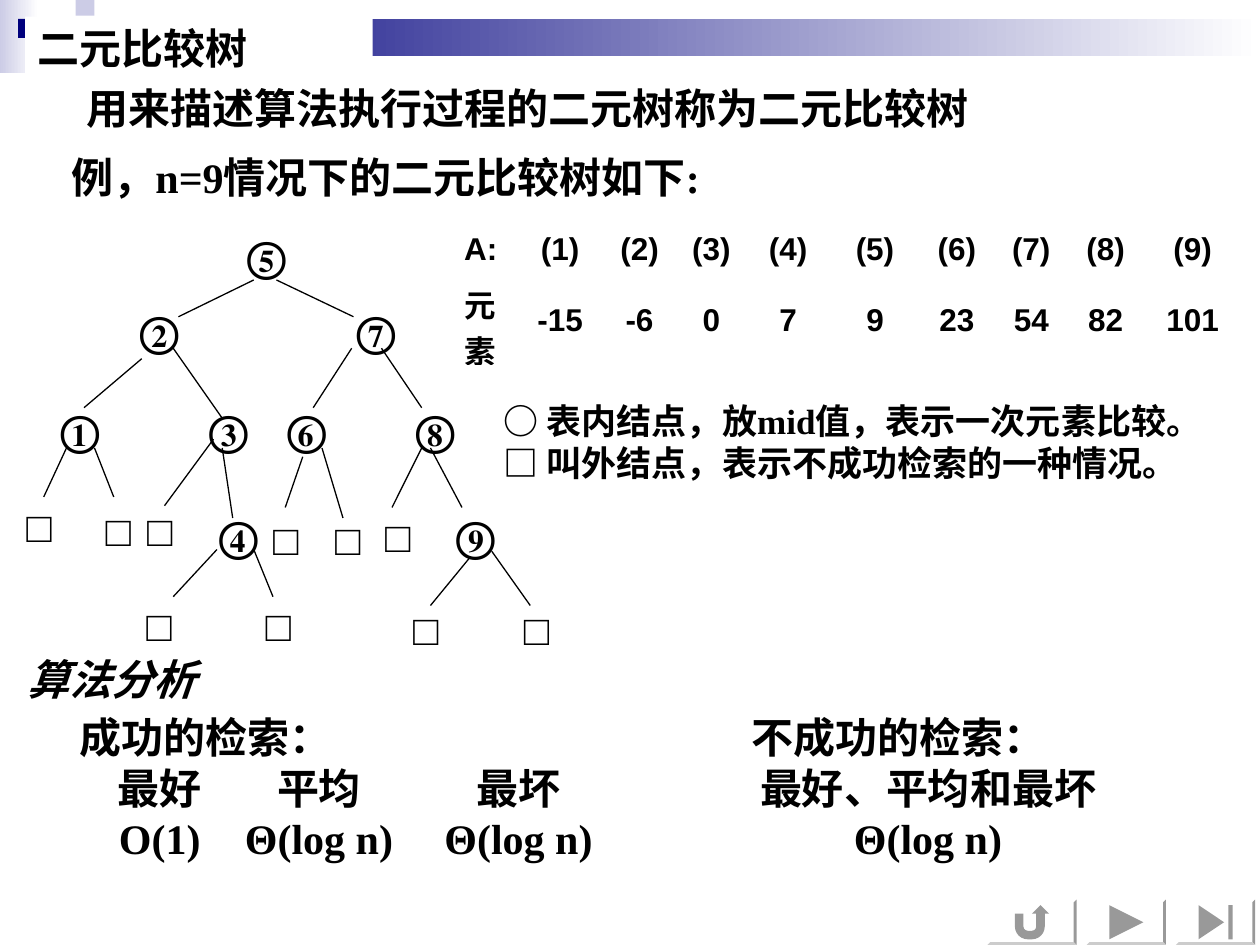
import pptx
import pptx.util
import pptx.dml.color
import pptx.enum.shapes
import pptx.enum.text
import lxml.etree

Pt = pptx.util.Pt
MSO = pptx.enum.shapes.MSO_SHAPE
ALIGN = pptx.enum.text.PP_ALIGN
ANCHOR = pptx.enum.text.MSO_ANCHOR
A = "{http://schemas.openxmlformats.org/drawingml/2006/main}"
C = {k: pptx.dml.color.RGBColor.from_string(v) for k, v in {
    "white": "FFFFFF", "black": "000000", "navy": "00007D", "lilac": "CCCCE6",
    "grey": "999999", "silver": "CCCCCC"}.items()}


def add_shape(kind, x, y, w, h, colours):
    sp = s.shapes.add_shape(kind, Pt(x), Pt(y), Pt(w), Pt(h))
    sp.shadow.inherit = False
    sp.line.fill.background()
    if len(colours) == 1:
        sp.fill.solid()
        sp.fill.fore_color.rgb = C[colours[0]]
    else:
        sp.fill.gradient()
        sp.fill.gradient_angle = 180
        for stop, colour in zip(sp.fill.gradient_stops, colours):
            stop.color.rgb = C[colour]


def add_text(text, x, y, w, h=36, size=24, wrap=False, italic=None):
    sp = s.shapes.add_textbox(Pt(x), Pt(y), Pt(w), Pt(h))
    tf = sp.text_frame
    tf.word_wrap = wrap
    tf.auto_size = pptx.enum.text.MSO_AUTO_SIZE.SHAPE_TO_FIT_TEXT
    tf.text = text
    for p in tf.paragraphs:
        for r in p.runs:
            r.font.name = "Times New Roman"
            r.font.size = Pt(size)
            r.font.bold = True
            r.font.italic = italic
            r.font.color.rgb = C["black"]
    return sp


prs = pptx.Presentation()
prs.slide_width, prs.slide_height = Pt(720), Pt(540)
s = prs.slides.add_slide(prs.slide_layouts[6])

add_shape(MSO.RECTANGLE, 0, 0, 22, 41.5, ["white", "lilac"])
add_shape(MSO.RECTANGLE, 32.5, 10.8, 687.5, 21.4, ["white", "navy"])
add_shape(MSO.RECTANGLE, 43.2, 0, 10.8, 9, ["lilac"])
add_shape(MSO.RECTANGLE, 10.3, 10.8, 10.8, 10.8, ["navy"])

bevel = 1.6
top, bottom = 514, 540
for kind, x, w in [(MSO.ACTION_BUTTON_RETURN, 564.2, 51), (MSO.ACTION_BUTTON_FORWARD_OR_NEXT, 621, 45.3),
                   (MSO.ACTION_BUTTON_END, 672, 45.3)]:
    add_shape(kind, x, top, w, bottom - top, ["white"])
    right = x + w
    corner = (right - bevel, bottom - bevel)
    for colour, points in [
            ("grey", [(right, top), (right, bottom), corner, (right - bevel, top + bevel)]),
            ("silver", [(right, bottom), (x, bottom), (x + bevel, bottom - bevel), corner])]:
        fb = s.shapes.build_freeform(Pt(points[0][0]), Pt(points[0][1]))
        fb.add_line_segments([(Pt(px), Pt(py)) for px, py in points[1:]])
        sp = fb.convert_to_shape()
        sp.shadow.inherit = False
        sp.line.fill.background()
        sp.fill.solid()
        sp.fill.fore_color.rgb = C[colour]

sp = add_text("二元比较树", 14.4, 9.5, 198.5, wrap=True)
sp.fill.solid()
sp.fill.fore_color.rgb = C["white"]
add_text("用来描述算法执行过程的二元树称为二元比较树", 42.5, 43.4, 518.5)
add_text("例，n=9情况下的二元比较树如下:", 33.8, 83, 390)

edges = [(145, 160, 102, 181), (158, 160, 202, 181), (81, 205, 48, 233), (99, 199, 127, 239),
         (201, 199, 179, 233), (218, 199, 241, 233), (38, 256, 25, 284), (54, 256, 65, 284),
         (122, 251, 94, 289), (127, 256, 133, 296), (173, 261, 163, 290), (184, 256, 196, 296),
         (241, 256, 224, 290), (246, 256, 264, 290), (269, 318, 246, 346), (281, 315, 303, 346),
         (124, 314, 99, 341), (145, 314, 156, 341)]
for edge in edges:
    cn = s.shapes.add_connector(pptx.enum.shapes.MSO_CONNECTOR.STRAIGHT, *map(Pt, edge))
    cn.line.color.rgb = C["black"]
    cn.line.width = Pt(0.75)
    lxml.etree.SubElement(cn._element.spPr, A + "effectLst")

inner_nodes = [("⑤", 134, 128), ("②", 72.7, 171), ("⑦", 196.6, 171), ("①", 27.4, 227.5), ("③", 112.3, 227.5),
               ("⑥", 157, 227.5), ("⑧", 230.4, 227.5), ("④", 118, 288), ("⑨", 253.4, 288)]
for label, x, y in inner_nodes:
    add_text(label, x, y, 36.7)

outer_nodes = [(8, 282.4), (53.3, 284.6), (77, 284.6), (76.6, 339), (144.7, 339), (149, 290),
               (184.5, 290), (213, 288), (229, 341.3), (292.3, 341.3)]
for x, y in outer_nodes:
    add_text("□", x, y, 28.8)

sp = add_text("○ 表内结点，放mid值，表示一次元素比较。\n□ 叫外结点，表示不成功检索的一种情况。",
              280.8, 224.6, 402, 55.4, size=20, wrap=True)
sp.text_frame.vertical_anchor = ANCHOR.MIDDLE

rows = [["A:"] + [f"({i})" for i in range(1, 10)],
        ["元素", "-15", "-6", "0", "7", "9", "23", "54", "82", "101"]]
widths = [45.4, 45.4, 45.4, 36.7, 51.1, 48.2, 45.4, 39.6, 45.4, 54]
heights = [28.8, 52]
tb = s.shapes.add_table(2, 10, Pt(252), Pt(128.2), Pt(sum(widths)), Pt(sum(heights))).table
for col, w in zip(tb.columns, widths):
    col.width = Pt(w)
for row, h, values in zip(tb.rows, heights, rows):
    row.height = Pt(h)
    for cell, value in zip(row.cells, values):
        cell.fill.solid()
        cell.fill.fore_color.rgb = C["white"]
        cell.vertical_anchor = ANCHOR.MIDDLE
        cell.text_frame.text = value
        p = cell.text_frame.paragraphs[0]
        p.alignment = ALIGN.CENTER
        r = p.runs[0]
        r.font.name = "Arial"
        r.font.size = Pt(18)
        r.font.bold = True
        r.font.color.rgb = C["black"]

add_text("算法分析", 8.6, 370, 130, wrap=True, italic=True)
sp = add_text("成功的检索：\t不成功的检索：\n\t最好\t平均\t最坏\t最好、平均和最坏\n\tO(1)\tΘ(log n)\tΘ(log n)\tΘ(log n)",
              38.2, 403.2, 595.4, 93.6, wrap=True)
sp.text_frame.vertical_anchor = ANCHOR.MIDDLE
columns = [("ctr", 46), ("ctr", 137), ("ctr", 251), ("ctr", 485)]
for p, stops in zip(sp.text_frame.paragraphs, ([("l", 384)], columns, columns)):
    tabs = lxml.etree.SubElement(p._p.get_or_add_pPr(), A + "tabLst")
    for align, pos in stops:
        lxml.etree.SubElement(tabs, A + "tab", pos=str(Pt(pos)), algn=align)

prs.save("out.pptx")
